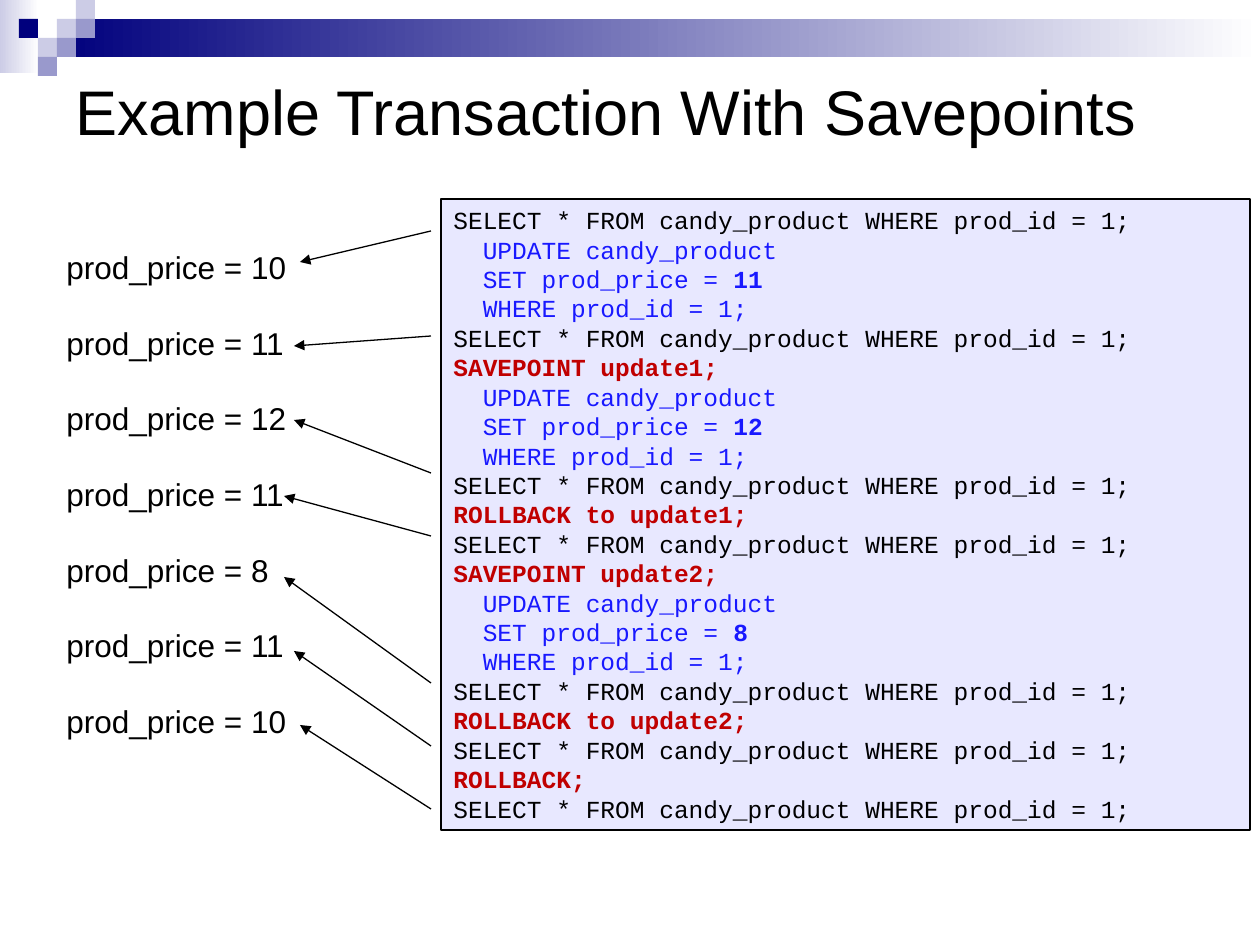
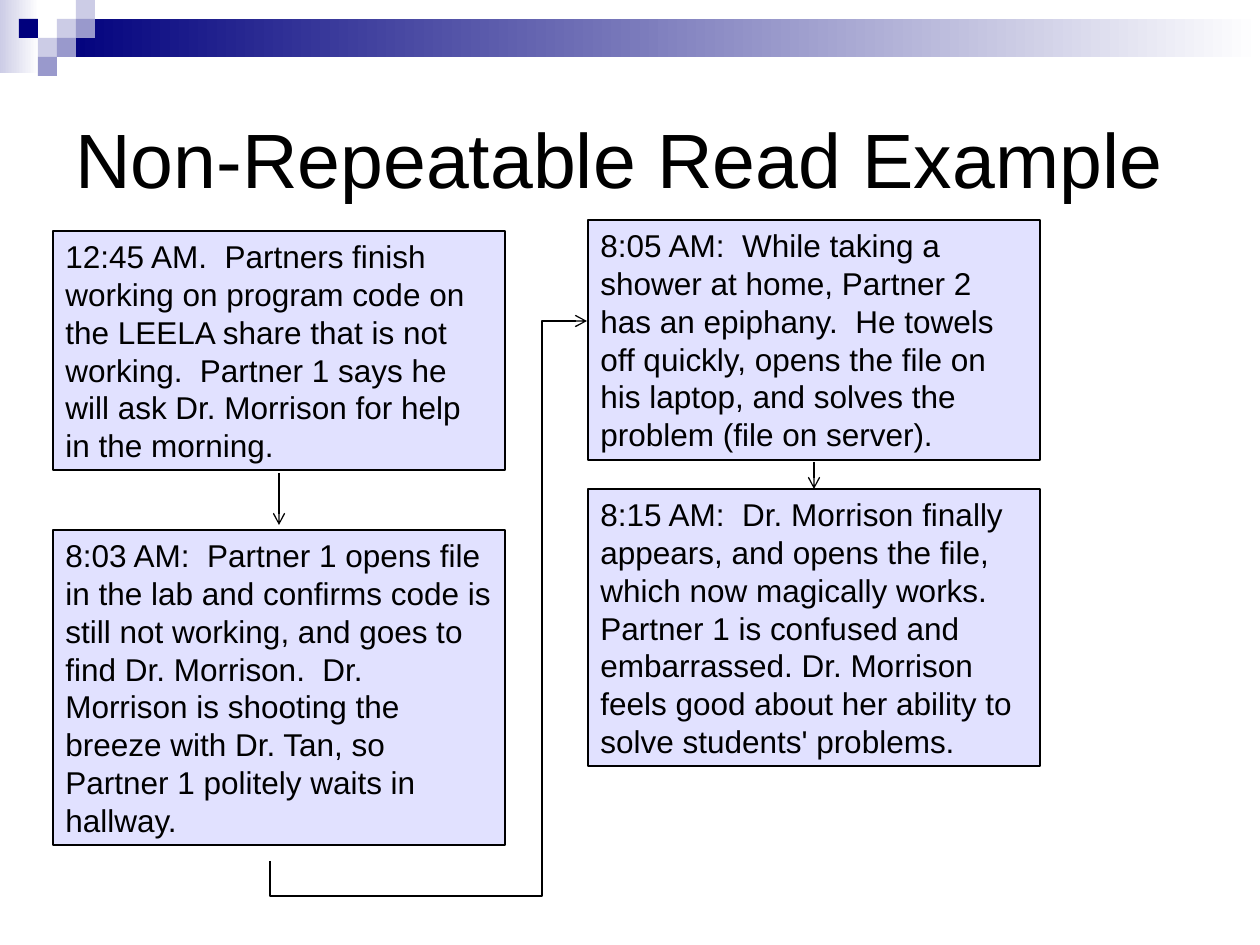
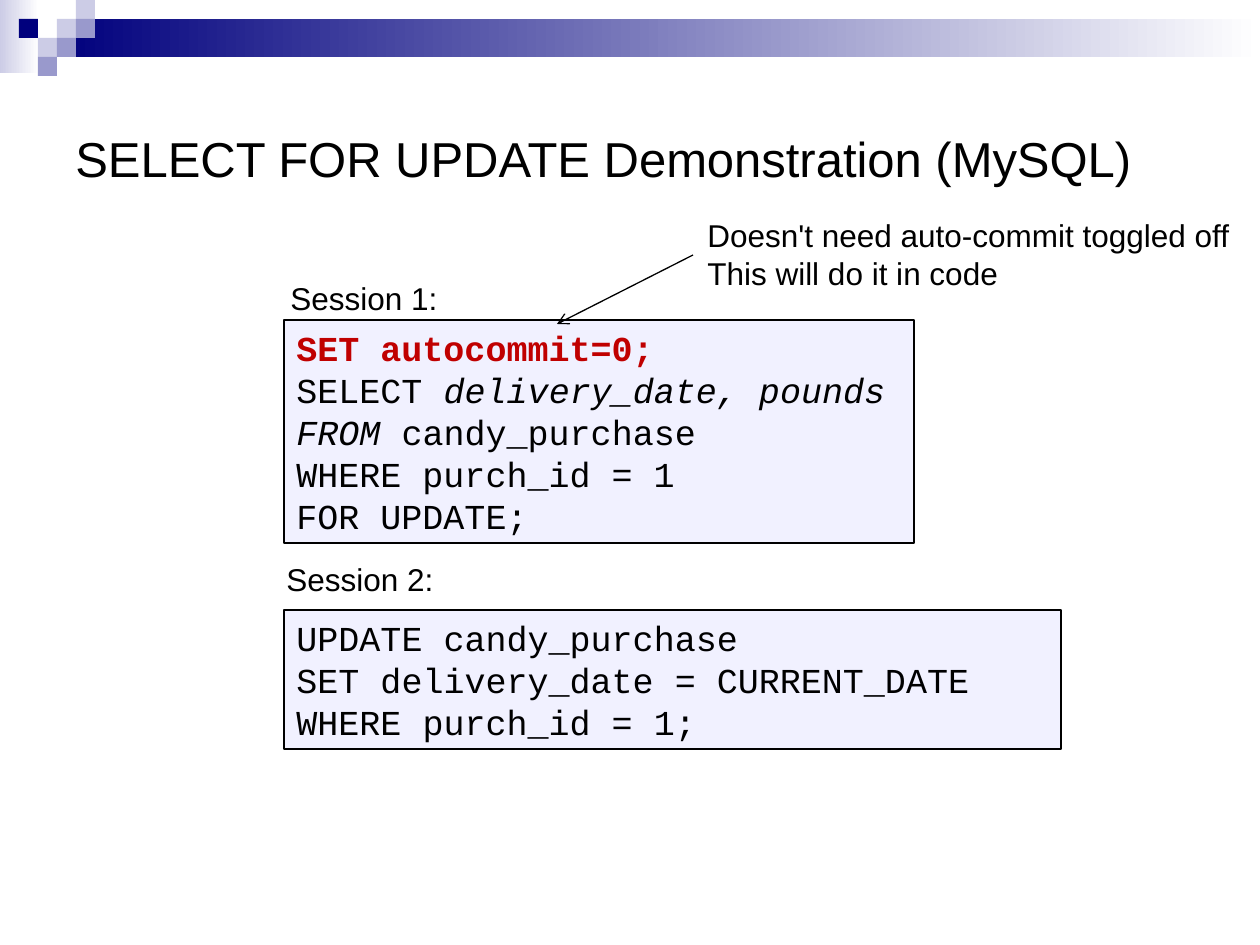
from pptx import Presentation
from pptx.dml.color import RGBColor
from pptx.enum.shapes import MSO_CONNECTOR, MSO_SHAPE
from pptx.enum.text import MSO_ANCHOR, PP_ALIGN
from pptx.oxml.ns import qn
from pptx.util import Pt
from lxml import etree

RECTANGLE = MSO_SHAPE.RECTANGLE
STRAIGHT = MSO_CONNECTOR.STRAIGHT
TOP, MIDDLE = MSO_ANCHOR.TOP, MSO_ANCHOR.MIDDLE
LEFT = PP_ALIGN.LEFT

SCALE = 914400 / 126
SLIDE_WIDTH, SLIDE_HEIGHT = 1260, 945
SANS, MONO = "Arial", "Courier New"
BLACK, WHITE, NAVY = "000000", "FFFFFF", "00007D"
LILAC, LAVENDER, PANEL = "9999CC", "CCCCE6", "9999FF"
BLUE, RED = "1818FF", "C00000"
TILE = 19
TILES = [(3, 1, LAVENDER), (4, 0, LAVENDER), (4, 1, LILAC), (2, 2, LAVENDER),
         (1, 1, NAVY), (3, 2, LILAC), (2, 3, LILAC)]

# Run styles: colour, bold, italic
PLAIN = (BLACK, False, False)
ITALIC = (BLACK, False, True)
CHANGE = (BLUE, False, False)
CHANGED_VALUE = (BLUE, True, False)
CONTROL = (RED, True, False)


def px(length):
    return round(length * SCALE)


def rgb(color):
    return RGBColor.from_string(color)


# Shared drawing helpers
def add_rectangle(slide, box):
    shape = slide.shapes.add_shape(RECTANGLE, *map(px, box))
    shape.shadow.inherit = False
    shape.line.fill.background()
    return shape


def add_solid(slide, box, color):
    shape = add_rectangle(slide, box)
    shape.fill.solid()
    shape.fill.fore_color.rgb = rgb(color)
    return shape


def add_gradient(slide, box, first, last):
    fill = add_rectangle(slide, box).fill
    fill.gradient()
    fill.gradient_angle = 0
    for stop, color, position in zip(fill.gradient_stops, (first, last), (0, 1)):
        stop.color.rgb = rgb(color)
        stop.position = position


def style_line(line):
    line.color.rgb = rgb(BLACK)
    line.width = Pt(0.75)


def add_arrowhead(shape, end, kind):
    line = shape.line.fill._xPr
    etree.SubElement(line, qn(f"a:{end}"), type=kind)


def add_arrow(slide, start, finish, end="tailEnd", kind="arrow"):
    connector = slide.shapes.add_connector(STRAIGHT, *map(px, start + finish))
    style_line(connector.line)
    add_arrowhead(connector, end, kind)
    etree.SubElement(connector._element.spPr, qn("a:effectLst"))
    return connector


def write_lines(shape, lines, size, font=SANS, anchor=TOP, gap=0):
    """Each line is a plain string or a list of (text, style) runs."""
    frame = shape.text_frame
    frame.word_wrap = True
    frame.vertical_anchor = anchor
    for index, line in enumerate(lines):
        paragraph = frame.add_paragraph() if index else frame.paragraphs[0]
        paragraph.alignment = LEFT
        paragraph.line_spacing = Pt(size * 1.2)
        if index and gap:
            paragraph.space_before = Pt(gap)
        runs = [(line, PLAIN)] if isinstance(line, str) else line
        for text, (color, bold, italic) in runs:
            run = paragraph.add_run()
            run.text = text
            run.font.name = font
            run.font.size = Pt(size)
            run.font.bold = bold
            run.font.italic = italic
            run.font.color.rgb = rgb(color)


def add_label(slide, box, lines, size=18, **options):
    write_lines(slide.shapes.add_textbox(*map(px, box)), lines, size, **options)


def add_panel(slide, box, opacity, lines, size, **options):
    shape = add_solid(slide, box, PANEL)
    color = shape.fill._xPr.find(qn("a:solidFill"))[0]
    etree.SubElement(color, qn("a:alpha"), val=str(opacity * 1000))
    style_line(shape.line)
    write_lines(shape, lines, size, **options)
    return shape


# Header band, corner tiles and title
def add_base_slide(presentation, title, size, title_height):
    slide = presentation.slides.add_slide(presentation.slide_layouts[6])
    add_gradient(slide, (0, 0, 39, 73), LAVENDER, WHITE)
    add_gradient(slide, (3 * TILE, TILE, SLIDE_WIDTH - 3 * TILE, 2 * TILE), NAVY, WHITE)
    for column, row, color in TILES:
        add_solid(slide, (column * TILE, row * TILE, TILE, TILE), color)
    add_label(slide, (63, 63, 1134, title_height), [title], size, anchor=MIDDLE)
    return slide


# Savepoints: code listing and the price after each query
QUERY = "SELECT * FROM candy_product WHERE prod_id = 1;"
PRICES = [10, 11, 12, 11, 8, 11, 10]
# Arrow tip x, tip y and query y, from the listing's top left corner
PRICE_ARROWS = [(-141, 63, 32), (-147, 147, 137), (-147, 221, 274), (-157, 297, 337),
                (-157, 378, 484), (-147, 452, 547), (-141, 526, 610)]


def update_lines(price):
    return [[("  UPDATE candy_product", CHANGE)],
            [("  SET prod_price = ", CHANGE), (str(price), CHANGED_VALUE)],
            [("  WHERE prod_id = 1;", CHANGE)],
            QUERY]


def control_line(text):
    return [(text, CONTROL)]


def add_savepoint_listing(slide, box):
    left, top, _, _ = box
    lines = [QUERY, *update_lines(11),
             control_line("SAVEPOINT update1;"), *update_lines(12),
             control_line("ROLLBACK to update1;"), QUERY,
             control_line("SAVEPOINT update2;"), *update_lines(8),
             control_line("ROLLBACK to update2;"), QUERY,
             control_line("ROLLBACK;"), QUERY]
    add_panel(slide, box, 22, lines, 14, font=MONO)
    add_label(slide, (left - 387, top + 43, 260, 504),
              [f"prod_price = {price}" for price in PRICES], gap=21.6)
    for tip_x, tip_y, query_y in PRICE_ARROWS:
        add_arrow(slide, (left + tip_x, top + tip_y), (left - 10, top + query_y),
                  "headEnd", "triangle")


# Non-repeatable read: four events in two columns
FIRST_COLUMN = [
    (0, 239, "12:45 AM.  Partners finish working on program code on the LEELA share "
     "that is not working.  Partner 1 says he will ask Dr. Morrison for help in the "
     "morning."),
    (299, 315, "8:03 AM:  Partner 1 opens file in the lab and confirms code is still "
     "not working, and goes to find Dr. Morrison.  Dr. Morrison is shooting the breeze "
     "with Dr. Tan, so Partner 1 politely waits in hallway."),
]
SECOND_COLUMN = [
    (0, 240, "8:05 AM:  While taking a shower at home, Partner 2  has an epiphany.  He "
     "towels off quickly, opens the file on his laptop, and solves the problem (file on "
     "server)."),
    (269, 277, "8:15 AM:  Dr. Morrison finally appears, and opens the file, which now "
     "magically works.  Partner 1 is confused and embarrassed. Dr. Morrison feels good "
     "about her ability to solve students' problems."),
]


def add_event_column(slide, box, events, arrow_start, arrow_end):
    left, top, width = box
    panels = [add_panel(slide, (left, top + offset, width, height), 29, [text], 18)
              for offset, height, text in events]
    middle = left + width // 2
    arrow = add_arrow(slide, (middle, top + arrow_start), (middle, top + arrow_end))
    if arrow_end == events[1][0]:
        arrow.end_connect(panels[1], 0)


def add_elbow(slide, points):
    start, *rest = [(px(x), px(y)) for x, y in points]
    builder = slide.shapes.build_freeform(*start)
    builder.add_line_segments(rest, close=False)
    shape = builder.convert_to_shape()
    shape.shadow.inherit = False
    shape.fill.background()
    style_line(shape.line)
    add_arrowhead(shape, "tailEnd", "arrow")


# Select for update: one panel per session
def add_session(slide, box, label_offset, label, lines):
    left, top, _, _ = box
    add_panel(slide, box, 13, lines, 20, font=MONO, anchor=MIDDLE)
    offset_x, offset_y = label_offset
    add_label(slide, (left + offset_x, top + offset_y, 190, 50), [label])


def build_savepoints(presentation):
    slide = add_base_slide(presentation, "Example Transaction With Savepoints", 36, 94)
    add_savepoint_listing(slide, (441, 199, 809, 631))


def build_non_repeatable_read(presentation):
    slide = add_base_slide(presentation, "Non-Repeatable Read Example", 44, 189)
    add_event_column(slide, (53, 231, 452), FIRST_COLUMN, 242, 294)
    add_event_column(slide, (588, 220, 452), SECOND_COLUMN, 242, 269)
    add_elbow(slide, [(270, 861), (270, 896), (542, 896), (542, 321), (587, 321)])


def build_select_for_update(presentation):
    slide = add_base_slide(presentation, "SELECT FOR UPDATE Demonstration (MySQL)", 28, 189)
    add_session(slide, (284, 320, 630, 223), (-6, -47), "Session 1:", [
        control_line("SET autocommit=0;"),
        [("SELECT ", PLAIN), ("delivery_date, pounds", ITALIC)],
        [("FROM", ITALIC), (" candy_purchase", PLAIN)],
        "WHERE purch_id = 1",
        "FOR UPDATE;"])
    add_session(slide, (284, 610, 777, 139), (-10, -56), "Session 2:", [
        "UPDATE candy_purchase",
        "SET delivery_date = CURRENT_DATE",
        "WHERE purch_id = 1;"])
    add_label(slide, (695, 210, 560, 88),
              ["Doesn't need auto-commit toggled off", "This will do it in code"])
    add_arrow(slide, (693, 255), (557, 324))


def main():
    presentation = Presentation()
    presentation.slide_width = px(SLIDE_WIDTH)
    presentation.slide_height = px(SLIDE_HEIGHT)
    build_savepoints(presentation)
    build_non_repeatable_read(presentation)
    build_select_for_update(presentation)
    presentation.save("out.pptx")


if __name__ == "__main__":
    main()
